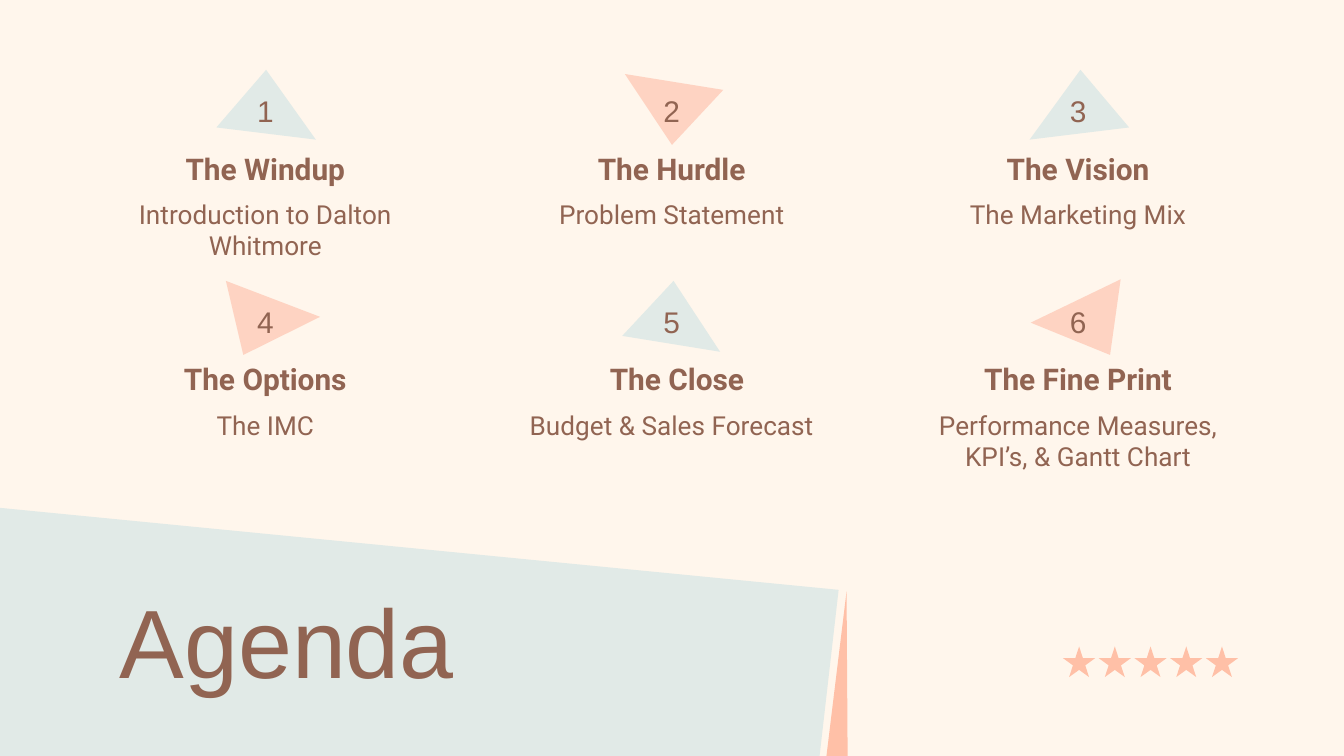
from dataclasses import dataclass

from pptx import Presentation
from pptx.dml.color import RGBColor as Color
from pptx.enum.shapes import MSO_SHAPE as ShapeKind
from pptx.enum.text import MSO_ANCHOR as Anchor
from pptx.enum.text import MSO_AUTO_SIZE as AutoSize
from pptx.enum.text import PP_ALIGN as Align
from pptx.util import Cm, Pt

Point = tuple[float, float]


@dataclass(frozen=True)
class Theme:
    background: Color = Color.from_string("FFF6EC")
    text: Color = Color.from_string("916452")
    mist: Color = Color.from_string("E1EAE7")
    blush: Color = Color.from_string("FED3C2")
    coral: Color = Color.from_string("FFC0A7")
    display_font: str = "Arial"
    body_font: str = "Roboto"
    title_size: int = 52
    heading_size: int = 16
    body_size: int = 14


@dataclass(frozen=True)
class Box:
    left: float
    top: float
    width: float
    height: float


@dataclass(frozen=True)
class TextStyle:
    font: str
    size: int
    bold: bool = False
    align: Align = Align.CENTER
    anchor: Anchor = Anchor.MIDDLE


@dataclass(frozen=True)
class AgendaItem:
    heading: str
    body: str
    triangle: tuple[Point, Point, Point]
    color: Color
    heading_inset: float = 0.25


THEME = Theme()
TITLE = TextStyle(THEME.display_font, THEME.title_size, align=Align.LEFT, anchor=Anchor.TOP)
NUMBER = TextStyle(THEME.display_font, THEME.heading_size)
HEADING = TextStyle(THEME.body_font, THEME.heading_size, bold=True)
BODY = TextStyle(THEME.body_font, THEME.body_size, anchor=Anchor.TOP)

SLIDE_WIDTH, SLIDE_HEIGHT = 25.4, 14.29
INSET = 0.25
COLUMNS = 3
GRID_LEFT, COLUMN_PITCH, COLUMN_WIDTH = 1.98, 7.68, 6.07
ROW_PITCH = 3.98
NUMBER_TOP, HEADING_TOP, BODY_TOP = 1.7, 2.79, 3.5
LINE_HEIGHT, BODY_HEIGHT, NUMBER_WIDTH = 0.79, 1.75, 2.21
STAR_COUNT, STAR_LEFT, STAR_PITCH = 5, 20.09, 0.675

ITEMS = [
    AgendaItem("The Windup", "Introduction to Dalton Whitmore",
               ((4.09, 2.41), (5.03, 1.32), (5.97, 2.64)), THEME.mist),
    AgendaItem("The Hurdle", "Problem Statement",
               ((13.67, 1.7), (12.7, 2.74), (11.81, 1.4)), THEME.blush),
    AgendaItem("The Vision", "The Marketing Mix",
               ((21.34, 2.41), (20.42, 1.32), (19.46, 2.64)), THEME.mist),
    AgendaItem("The Options", "The IMC",
               ((4.27, 5.31), (4.6, 6.71), (6.05, 5.99)), THEME.blush),
    AgendaItem("The Close", "Budget & Sales Forecast",
               ((11.76, 6.35), (12.73, 5.31), (13.61, 6.65)), THEME.mist, 0.05),
    AgendaItem("The Fine Print", "Performance Measures, KPI’s, & Gantt Chart",
               ((21.18, 5.28), (20.98, 6.71), (19.48, 6.1)), THEME.blush),
]
PANEL = ((0, 9.6), (15.85, 11.15), (15.49, SLIDE_HEIGHT), (0, SLIDE_HEIGHT))
SLIVER = ((16, 11.18), (16.02, SLIDE_HEIGHT), (15.62, SLIDE_HEIGHT))


def paint(shape, color: Color) -> None:
    shape.shadow.inherit = False
    shape.fill.solid()
    shape.fill.fore_color.rgb = color
    shape.line.fill.background()


def draw_polygon(slide, points: tuple[Point, ...], color: Color) -> None:
    corners = [(Cm(x), Cm(y)) for x, y in points]
    builder = slide.shapes.build_freeform(*corners[0])
    builder.add_line_segments(corners[1:], close=True)
    paint(builder.convert_to_shape(), color)


def draw_star(slide, box: Box) -> None:
    star = slide.shapes.add_shape(ShapeKind.STAR_5_POINT, Cm(box.left), Cm(box.top),
                                  Cm(box.width), Cm(box.height))
    paint(star, THEME.coral)


def write_text(shape, text: str, style: TextStyle, inset_right: float = INSET) -> None:
    frame = shape.text_frame
    frame.word_wrap = True
    frame.auto_size = AutoSize.NONE
    frame.vertical_anchor = style.anchor
    frame.margin_left = frame.margin_top = frame.margin_bottom = Cm(INSET)
    frame.margin_right = Cm(inset_right)
    paragraph = frame.paragraphs[0]
    paragraph.alignment = style.align
    run = paragraph.add_run()
    run.text = text
    run.font.name = style.font
    run.font.size = Pt(style.size)
    run.font.bold = style.bold
    run.font.color.rgb = THEME.text


def draw_text(slide, box: Box, text: str, style: TextStyle,
              inset_right: float = INSET) -> None:
    shape = slide.shapes.add_textbox(Cm(box.left), Cm(box.top), Cm(box.width), Cm(box.height))
    write_text(shape, text, style, inset_right)


def draw_item(slide, index: int, item: AgendaItem) -> None:
    row, column = divmod(index, COLUMNS)
    left = GRID_LEFT + column * COLUMN_PITCH
    drop = row * ROW_PITCH
    number_left = left + (COLUMN_WIDTH - NUMBER_WIDTH) / 2
    draw_polygon(slide, item.triangle, item.color)
    draw_text(slide, Box(number_left, NUMBER_TOP + drop, NUMBER_WIDTH, LINE_HEIGHT),
              str(index + 1), NUMBER)
    draw_text(slide, Box(left, HEADING_TOP + drop, COLUMN_WIDTH, LINE_HEIGHT),
              item.heading, HEADING, item.heading_inset)
    draw_text(slide, Box(left, BODY_TOP + drop, COLUMN_WIDTH, BODY_HEIGHT), item.body, BODY)


def place_title(slide, box: Box, text: str) -> None:
    title = slide.shapes.title
    title.left, title.top = Cm(box.left), Cm(box.top)
    title.width, title.height = Cm(box.width), Cm(box.height)
    write_text(title, text, TITLE)
    title.element.getparent().append(title.element)


def main() -> None:
    presentation = Presentation()
    presentation.slide_width = Cm(SLIDE_WIDTH)
    presentation.slide_height = Cm(SLIDE_HEIGHT)
    slide = presentation.slides.add_slide(presentation.slide_layouts[5])
    slide.background.fill.solid()
    slide.background.fill.fore_color.rgb = THEME.background

    draw_polygon(slide, PANEL, THEME.mist)
    draw_polygon(slide, SLIVER, THEME.coral)
    for index in range(STAR_COUNT):
        draw_star(slide, Box(STAR_LEFT + index * STAR_PITCH, 12.22, 0.61, 0.58))
    place_title(slide, Box(2.01, 10.74, 21.41, 2.84), "Agenda")
    for index, item in enumerate(ITEMS):
        draw_item(slide, index, item)

    presentation.save("out.pptx")


if __name__ == "__main__":
    main()
